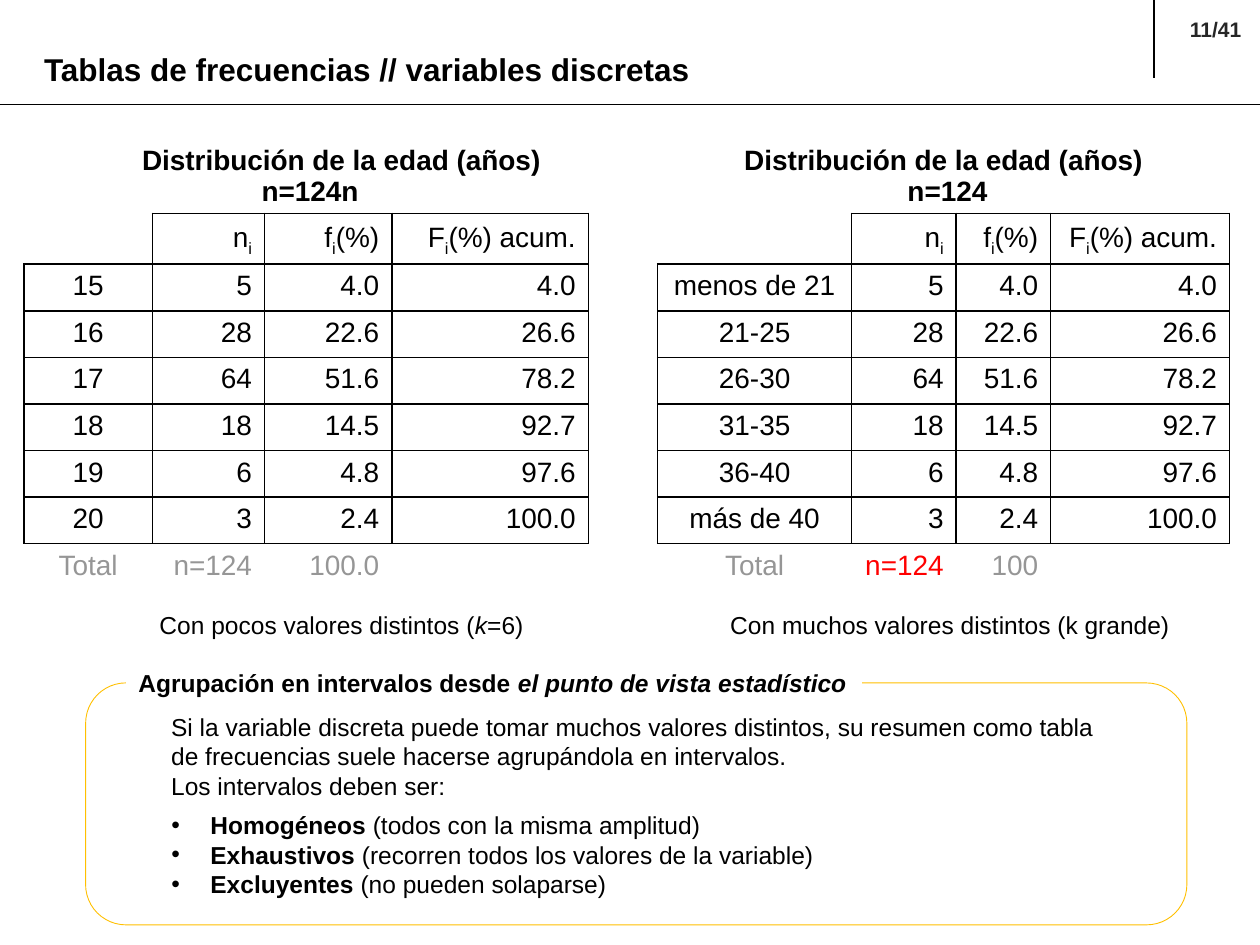
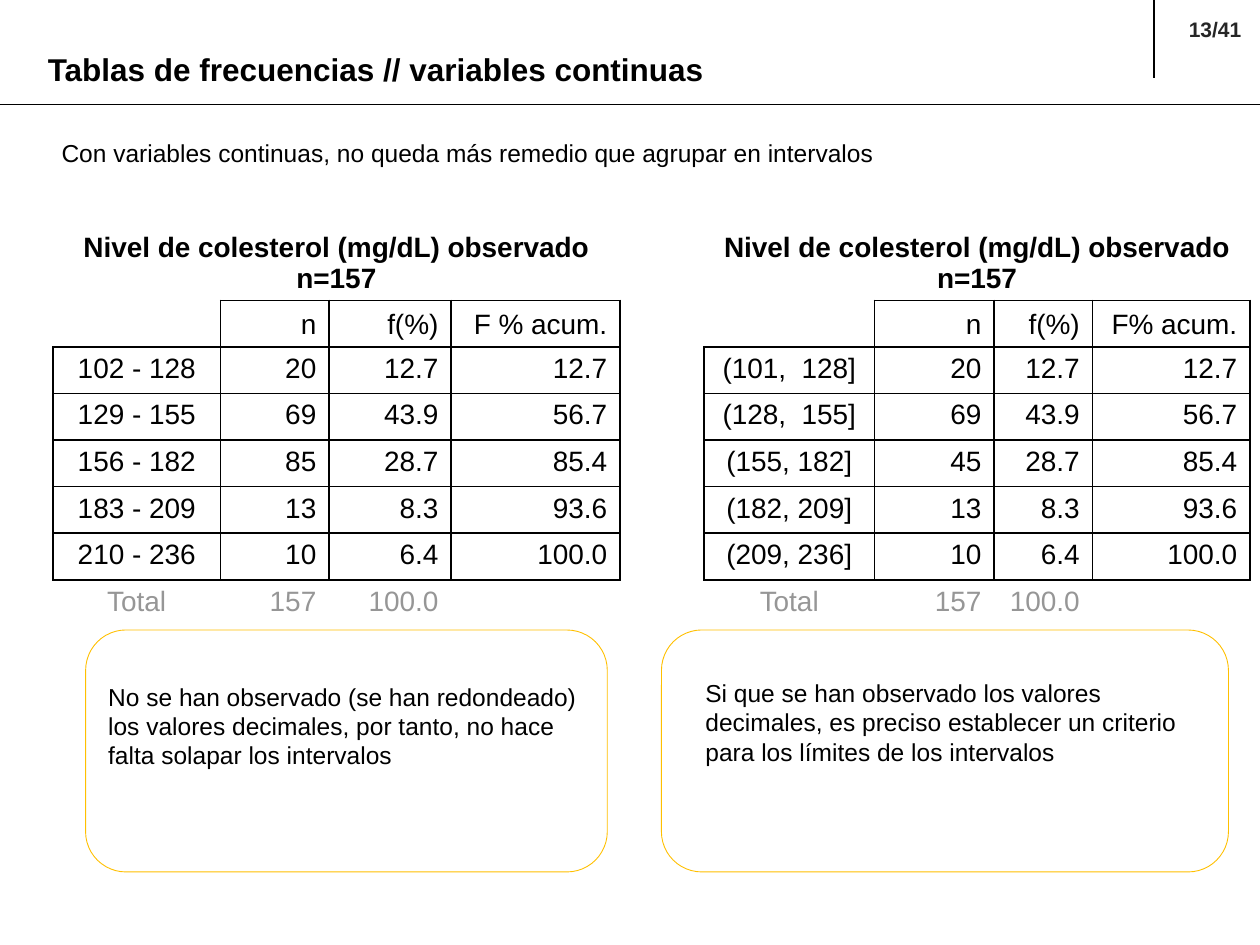
from dataclasses import dataclass

from lxml.etree import SubElement
from pptx import Presentation
from pptx.dml.color import RGBColor
from pptx.enum.shapes import MSO_CONNECTOR, MSO_SHAPE
from pptx.enum.text import MSO_ANCHOR, MSO_AUTO_SIZE, PP_ALIGN
from pptx.oxml.ns import qn
from pptx.util import Emu, Pt

PX = 9144  # EMU per px, 100 px to the inch
GAP = 4  # column between the two halves of a table


@dataclass(frozen=True)
class Theme:
    font: str = "Arial"
    ink: str = "000000"
    page: str = "262626"
    mute: str = "969696"
    alert: str = "FF0000"
    frame: str = "FFC000"
    paper: str = "FFFFFF"
    title: int = 18
    cell: int = 16
    body: int = 14
    small: int = 12


def px(*sizes):
    return [Emu(size * PX) for size in sizes]


def rgb(code):
    return RGBColor.from_string(code)


class Deck:
    def __init__(self, theme):
        self.theme = theme
        self.prs = Presentation()
        self.prs.slide_width, self.prs.slide_height = px(1000, 750)

    def start(self, layout, title, left, page):
        """Add a slide with its title, header lines and page number."""
        self.slide = self.prs.slides.add_slide(self.prs.slide_layouts[layout])
        self.shapes = self.slide.shapes
        self.place(self.shapes.title, (left, 35, 546, 40))
        self.put(self.shapes.title.text_frame, [title], self.theme.title, bold=True)
        self.text((916, 8, 79, 30), [page], size=self.theme.small,
                  color=self.theme.page, align=PP_ALIGN.RIGHT, bold=True)
        self.line(0, 83, 1000, 83)
        self.line(916, 0, 916, 62)

    def place(self, shape, box):
        shape.left, shape.top, shape.width, shape.height = px(*box)
        shape.text_frame.auto_size = MSO_AUTO_SIZE.NONE
        shape.text_frame.vertical_anchor = MSO_ANCHOR.TOP

    def put(self, frame, paras, size, color=None, align=PP_ALIGN.LEFT, bold=False,
            bullet=False):
        """Fill a frame; a paragraph is a string or a list of (text, style) runs."""
        for i, runs in enumerate(paras):
            para = frame.add_paragraph() if i else frame.paragraphs[0]
            if isinstance(runs, str):
                para.text = runs
            else:
                for text, style in runs:
                    self.run(para, text, style)
            para.alignment = align
            para.space_before = Pt(0)
            if bullet:
                props = para._p.get_or_add_pPr()
                props.set("marL", str(31 * PX))
                props.set("indent", str(-31 * PX))
                SubElement(props, qn("a:buChar")).set("char", "•")
            font = para.font
            font.name, font.size, font.bold = self.theme.font, Pt(size), bold
            font.color.rgb = rgb(color or self.theme.ink)

    def run(self, para, text, style):
        run = para.add_run()
        run.text = text
        if style == "bold":
            run.font.bold = True
        elif style == "italic":
            run.font.italic = True
        elif style == "alert":
            run.font.color.rgb = rgb(self.theme.alert)
        elif style == "sub":
            run._r.get_or_add_rPr().set("baseline", "-25000")

    def text(self, box, paras, size=None, fill=False, wrap=True, **look):
        shape = self.shapes.add_textbox(*px(*box))
        shape.text_frame.word_wrap = wrap
        if fill:
            shape.fill.solid()
            shape.fill.fore_color.rgb = rgb(self.theme.paper)
        self.put(shape.text_frame, paras, size or self.theme.body, **look)

    def bullets(self, box, items):
        body = self.slide.placeholders[1]
        self.place(body, box)
        self.put(body.text_frame, items, self.theme.body, bullet=True)

    def line(self, *ends):
        line = self.shapes.add_connector(MSO_CONNECTOR.STRAIGHT, *px(*ends))
        line.line.color.rgb = rgb(self.theme.ink)
        line.line.width = Pt(0.75)
        SubElement(line._element.spPr, qn("a:effectLst"))

    def frame(self, *box):
        shape = self.shapes.add_shape(MSO_SHAPE.ROUNDED_RECTANGLE, *px(*box))
        shape.shadow.inherit = False
        shape.fill.background()
        shape.line.color.rgb = rgb(self.theme.frame)
        shape.line.width = Pt(0.5)

    def table(self, left, top, cols, heads, rows, shift=0):
        """Draw two frequency tables side by side, each under its merged heading."""
        count = len(rows) + 1
        high = [63] + [37] * len(rows)
        grid = self.shapes.add_table(
            count, len(cols), *px(left, top, sum(cols), sum(high))).table
        grid.first_row = grid.horz_banding = False
        for col, width in zip(grid.columns, px(*cols)):
            col.width = width
        for row, height in zip(grid.rows, px(*high)):
            row.height = height

        def boxed(r, c):
            corner = r == 1 and c in (0, GAP + 1)
            return 0 < r < count - 1 and 0 <= c < len(cols) and c != GAP and not corner

        for r in range(count):
            for c in range(len(cols)):
                near = {"L": (r, c - 1), "R": (r, c + 1), "T": (r - 1, c), "B": (r + 1, c)}
                cell = grid.cell(r, c)
                self.edge(cell, {side: boxed(r, c) or boxed(*spot)
                                 for side, spot in near.items()})
                cell.fill.background()
                if r and rows[r - 1][c]:
                    self.value(cell, rows[r - 1][c], r, c, r == count - 1)
                else:
                    cell.margin_top = cell.margin_bottom = 0
        for c, paras in zip((0, GAP + 1), heads):
            cell = grid.cell(0, c)
            cell.merge(grid.cell(0, c + 3))
            cell.margin_top = cell.margin_bottom = Emu(5 * PX)
            cell.vertical_anchor = MSO_ANCHOR.BOTTOM
            self.put(cell.text_frame, paras, self.theme.cell,
                     align=PP_ALIGN.CENTER, bold=True)
        first = grid.cell(0, 0).text_frame.paragraphs[0]
        first._p.get_or_add_pPr().set("marL", str(shift * PX))

    def value(self, cell, value, r, c, total):
        cell.vertical_anchor = MSO_ANCHOR.BOTTOM if r == 1 else MSO_ANCHOR.TOP
        self.put(cell.text_frame, [value], self.theme.cell,
                 color=self.theme.mute if total else None,
                 align=PP_ALIGN.CENTER if c in (0, GAP + 1) else PP_ALIGN.RIGHT)

    def edge(self, cell, sides):
        props = cell._tc.get_or_add_tcPr()
        for side, drawn in sides.items():
            line = SubElement(props, qn("a:ln" + side), w="12700")
            if drawn:
                fill = SubElement(line, qn("a:solidFill"))
                SubElement(fill, qn("a:srgbClr")).set("val", self.theme.ink)
            else:
                SubElement(line, qn("a:noFill"))


def pair(lefts, rights):
    return [[*left, "", *right] for left, right in zip(lefts, rights)]


def block(names, labels, values, total):
    """Rows of one frequency table: names, labelled values and total."""
    body = [[label, *value] for label, value in zip(labels, values)]
    return [["", *names], *body, ["Total", *total, ""]]


def sub(letter, *tail):
    """Runs of a letter with the index i, then any tail."""
    return [(letter, ""), ("i", "sub"), *((text, "") for text in tail)]


def discrete(deck):
    deck.start(1, "Tablas de frecuencias // variables discretas", 25, "11/41")
    names = [sub("n"), sub("f", "(%)"), sub("F", "(%) acum.")]
    values = [("5", "4.0", "4.0"), ("28", "22.6", "26.6"), ("64", "51.6", "78.2"),
              ("18", "14.5", "92.7"), ("6", "4.8", "97.6"), ("3", "2.4", "100.0")]
    ages = [str(age) for age in range(15, 21)]
    spans = ["menos de 21", "21-25", "26-30", "31-35", "36-40", "más de 40"]
    head = "Distribución de la edad (años)"
    deck.table(19, 106, [102, 89, 101, 156, 55, 154, 83, 75, 142],
               [[head, " n=124n"], [head, " n=124"]],
               pair(block(names, ages, values, ["n=124", "100.0"]),
                    block(names, spans, values, [[("n=124", "alert")], "100"])),
               shift=56)
    deck.frame(68, 542, 874, 192)
    deck.text((126, 560, 758, 73), [
        "Si la variable discreta puede tomar muchos valores distintos, su resumen "
        "como tabla de frecuencias suele hacerse agrupándola en intervalos.",
        "Los intervalos deben ser:"], fill=True)
    deck.bullets((126, 638, 758, 73), [
        [("Homogéneos", "bold"), (" (todos con la misma amplitud)", "")],
        [("Exhaustivos", "bold"), (" (recorren todos los valores de la variable)", "")],
        [("Excluyentes", "bold"), (" (no pueden solaparse)", "")]])
    deck.text((100, 479, 342, 33), [
        [("Con pocos valores distintos (", ""), ("k", "italic"), ("=6)", "")]],
        align=PP_ALIGN.CENTER)
    deck.text((533, 479, 442, 33), ["Con muchos valores distintos (k grande)"],
              align=PP_ALIGN.CENTER)
    deck.text((100, 525, 584, 34), [
        [("Agrupación en intervalos desde ", ""),
         ("el punto de vista estadístico", "italic")]],
        fill=True, wrap=False, bold=True)


def smooth(deck):
    """Build the slide on continuous variables."""
    deck.start(5, "Tablas de frecuencias // variables continuas", 28, "13/41")
    values = [("20", "12.7", "12.7"), ("69", "43.9", "56.7"), ("85", "28.7", "85.4"),
              ("13", "8.3", "93.6"), ("10", "6.4", "100.0")]
    fixed = [*values[:2], ("45", "28.7", "85.4"), *values[3:]]
    closed = [f"{low} - {low + 26}" for low in range(102, 211, 27)]
    half = ["(101,  128]", "(128,  155]", "(155, 182]", "(182, 209]", "(209, 236]"]
    total = ["157", "100.0"]
    head = ["Nivel de colesterol (mg/dL) observado\vn=157"]
    deck.table(42, 175, [133, 86, 97, 134, 67, 135, 95, 78, 125], [head, head],
               pair(block(["n", "f(%)", "F % acum."], closed, values, total),
                    block(["n", "f(%)", "F% acum."], half, fixed, total)))
    deck.text((76, 536, 399, 81), [
        "No se han observado (se han redondeado) los valores decimales, "
        "por tanto, no hace falta solapar los intervalos"], fill=True)
    deck.text((550, 533, 399, 81), [
        "Si que se han observado los valores decimales, es preciso establecer "
        "un criterio para los límites de los intervalos"], fill=True)
    deck.frame(68, 500, 414, 192)
    deck.frame(525, 500, 450, 192)
    deck.text((39, 105, 667, 34), [
        "Con variables continuas, no queda más remedio que agrupar en intervalos"],
        fill=True, wrap=False)


def main():
    deck = Deck(Theme())
    discrete(deck)
    smooth(deck)
    deck.prs.save("out.pptx")


if __name__ == "__main__":
    main()
